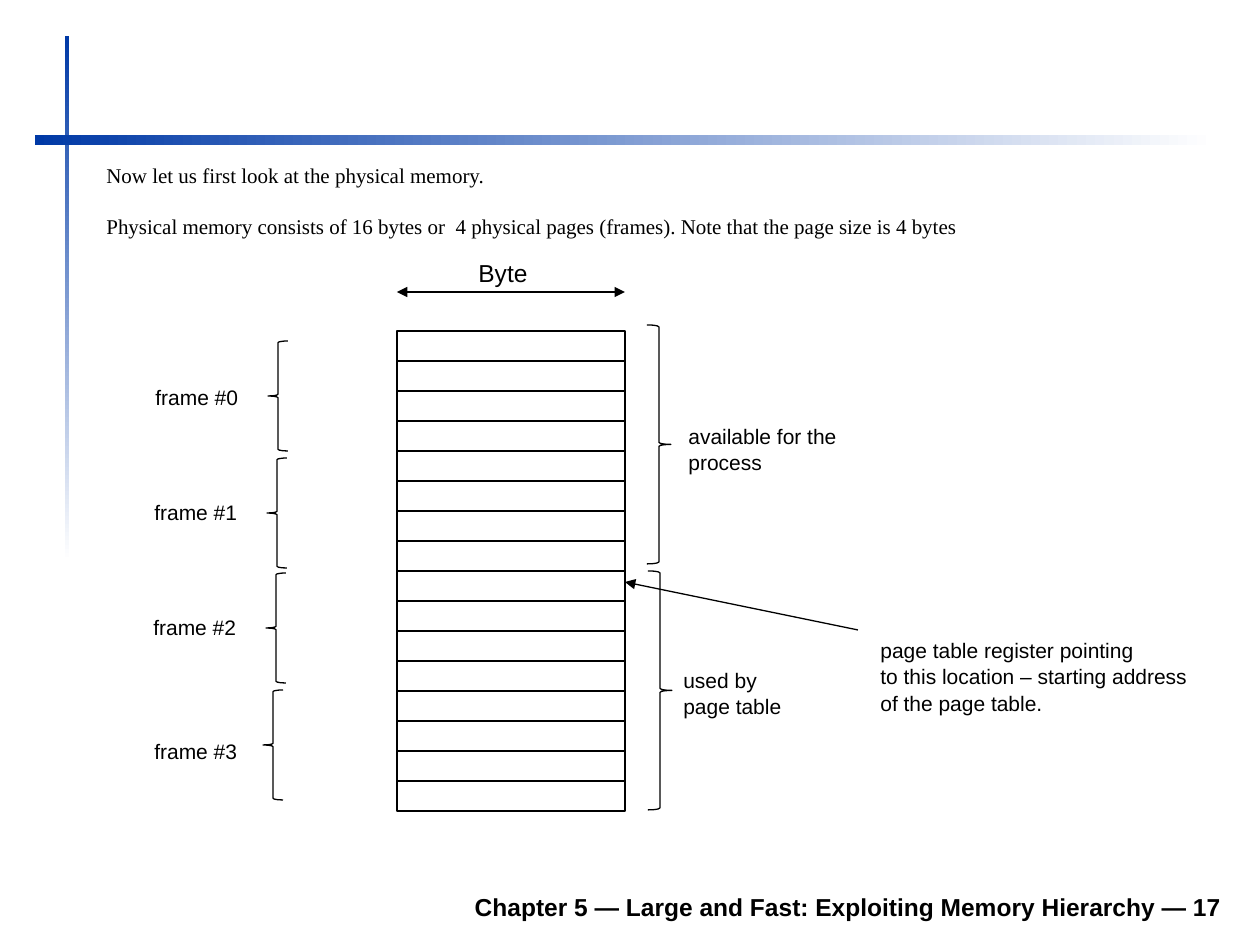
from lxml import etree
from pptx import Presentation
from pptx.dml.color import RGBColor
from pptx.enum.shapes import MSO_CONNECTOR, MSO_SHAPE
from pptx.enum.text import MSO_ANCHOR, PP_ALIGN
from pptx.oxml.ns import qn
from pptx.util import Emu, Pt

PX = 914400 // 126
RECTANGLE, LEFT_BRACE, RIGHT_BRACE = (
    MSO_SHAPE.RECTANGLE, MSO_SHAPE.LEFT_BRACE, MSO_SHAPE.RIGHT_BRACE)
COLORS = {"ink": "000000", "paper": "FFFFFF", "accent": "0039A6"}
LINE_WIDTH = 0.75

# left, top, width, height, gradient angle (counter-clockwise)
RULES = [(65, 36, 4, 525, 270), (35, 135, 1180, 10, 0)]

INTRO = [
    "Now let us first look at the physical memory.",
    "Physical memory consists of 16 bytes or  4 physical pages (frames). "
    "Note that the page size is 4 bytes",
]
FOOTER = "Chapter 5 — Large and Fast: Exploiting Memory Hierarchy — 17"

MEMORY_LEFT, MEMORY_TOP, MEMORY_WIDTH = 397, 331, 228
BYTE_COUNT, BYTE_HEIGHT = 16, 30
MEMORY_RIGHT = MEMORY_LEFT + MEMORY_WIDTH

# label, label left, label top, brace left, brace top
FRAMES = [
    ("frame #0", 143, 377, 268, 341),
    ("frame #1", 142, 492, 267, 458),
    ("frame #2", 141, 607, 266, 573),
    ("frame #3", 142, 731, 263, 690),
]
FRAME_BRACE = (20, 110)

# lines, label box, brace left, brace top
USES = [
    (["available for the", "process"], (676, 416, 180, 63), 647, 325),
    (["used by", "page table"], (671, 660, 124, 63), 648, 571),
]
USE_BRACE = (24, 239)

REGISTER_NOTE = [
    "page table register pointing",
    "to this location – starting address",
    "of the page table.",
]

# start x, start y, end x, end y, arrowhead ends
ARROWS = [
    (MEMORY_LEFT, 292, MEMORY_RIGHT, 292, ("headEnd", "tailEnd")),
    (858, 630, MEMORY_RIGHT, 582, ("tailEnd",)),
]


def px(*values):
    return [Emu(value * PX) for value in values]


def color(name):
    return RGBColor.from_string(COLORS[name])


def add_outline(page, kind, box, fill=None):
    shape = page.shapes.add_shape(kind, *px(*box))
    shape.shadow.inherit = False
    if fill:
        shape.fill.solid()
        shape.fill.fore_color.rgb = color(fill)
    else:
        shape.fill.background()
    shape.line.color.rgb = color("ink")
    shape.line.width = Pt(LINE_WIDTH)


def add_rule(page, left, top, width, height, angle):
    rule = page.shapes.add_shape(RECTANGLE, *px(left, top, width, height))
    rule.shadow.inherit = False
    rule.line.fill.background()
    rule.fill.gradient()
    rule.fill.gradient_angle = angle
    for stop, name in zip(rule.fill.gradient_stops, ("accent", "paper")):
        stop.color.rgb = color(name)


def add_text(page, lines, box, size=12, font="Arial", spacing=1.05, gap=0):
    frame = page.shapes.add_textbox(*px(*box)).text_frame
    frame.word_wrap = True
    frame.text = "\n".join(lines)
    for index, paragraph in enumerate(frame.paragraphs):
        paragraph.line_spacing = spacing
        if index:
            paragraph.space_before = Pt(gap)
        for span in paragraph.runs:
            span.font.size = Pt(size)
            span.font.name = font
            span.font.color.rgb = color("ink")
    return frame


def add_arrow(page, x1, y1, x2, y2, ends):
    arrow = page.shapes.add_connector(MSO_CONNECTOR.STRAIGHT, *px(x1, y1, x2, y2))
    arrow.line.color.rgb = color("ink")
    arrow.line.width = Pt(LINE_WIDTH)
    line = arrow.line._get_or_add_ln()
    for end in ends:
        etree.SubElement(line, qn("a:" + end), type="triangle")
    etree.SubElement(arrow._element.spPr, qn("a:effectLst"))


def main():
    deck = Presentation()
    deck.slide_width, deck.slide_height = px(1260, 945)
    page = deck.slides.add_slide(deck.slide_layouts[6])

    for rule in RULES:
        add_rule(page, *rule)
    add_text(page, INTRO, (94, 155, 922, 90), font="Times New Roman", gap=14)

    for index in range(BYTE_COUNT):
        top = MEMORY_TOP + index * BYTE_HEIGHT
        add_outline(page, RECTANGLE, (MEMORY_LEFT, top, MEMORY_WIDTH, BYTE_HEIGHT))
    add_text(page, ["Byte"], (466, 250, 79, 43), size=14)

    for label, left, top, brace_left, brace_top in FRAMES:
        add_outline(page, LEFT_BRACE, (brace_left, brace_top, *FRAME_BRACE), "paper")
        add_text(page, [label], (left, top, 115, 38))
    for lines, box, brace_left, brace_top in USES:
        add_outline(page, RIGHT_BRACE, (brace_left, brace_top, *USE_BRACE), "paper")
        add_text(page, lines, box)

    for arrow in ARROWS:
        add_arrow(page, *arrow)
    add_text(page, REGISTER_NOTE, (868, 630, 335, 90))

    footer = add_text(page, [FOOTER], (233, 879, 1001, 49), size=14, spacing=1)
    footer.vertical_anchor = MSO_ANCHOR.BOTTOM
    footer.paragraphs[0].alignment = PP_ALIGN.RIGHT
    footer.paragraphs[0].runs[0].font.bold = True

    deck.save("out.pptx")


if __name__ == "__main__":
    main()
